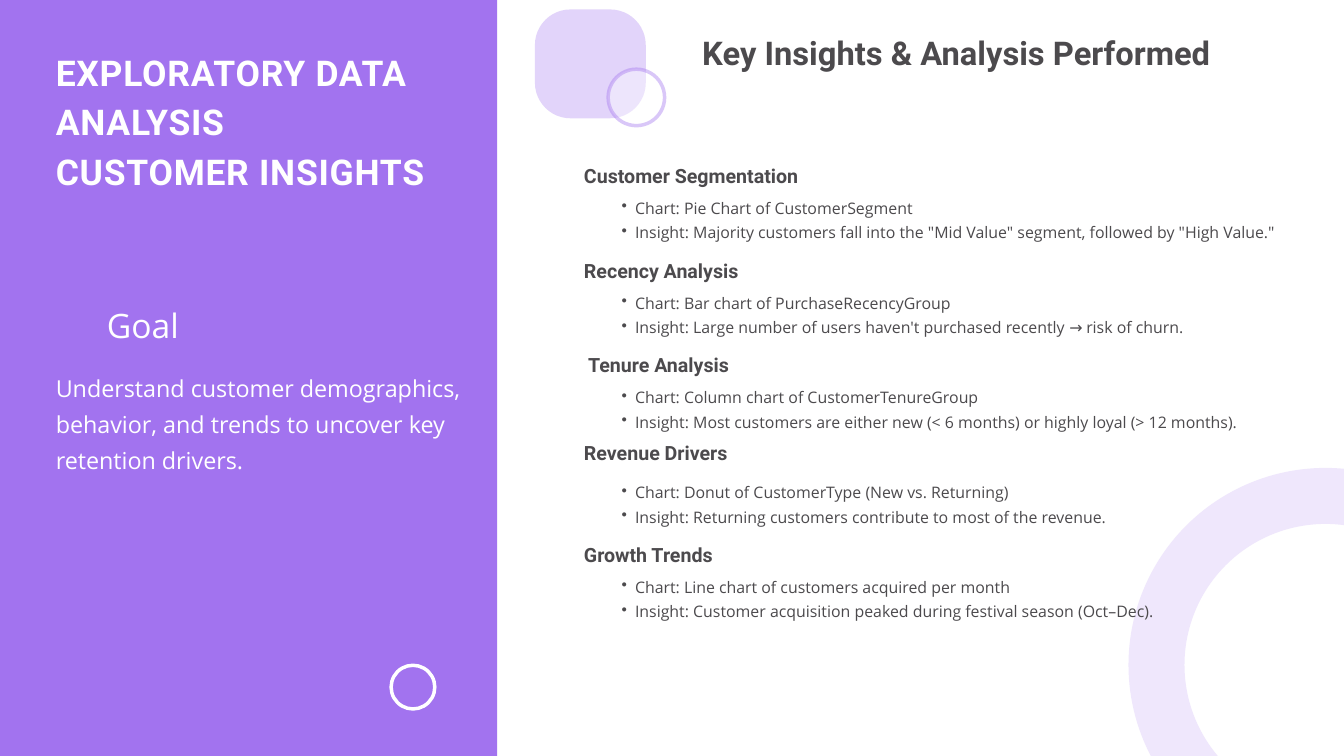
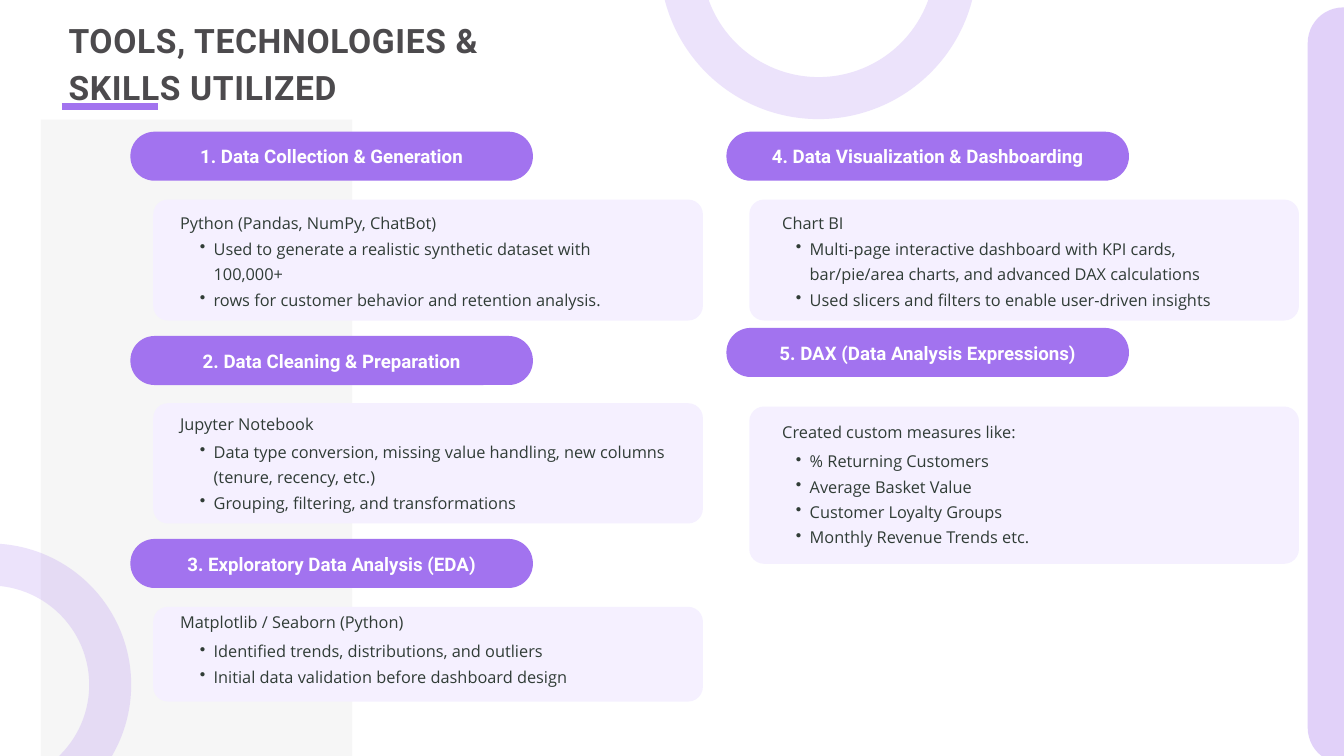
from lxml.etree import SubElement
from pptx import Presentation
from pptx.dml.color import RGBColor
from pptx.enum.shapes import MSO_CONNECTOR as LINK, MSO_SHAPE as SHAPE
from pptx.enum.text import MSO_ANCHOR as ANCHOR, PP_ALIGN as ALIGN
from pptx.oxml.ns import qn
from pptx.util import Pt

PX = 9144
PURPLE = RGBColor(0xA2, 0x73, 0xEF)
LILAC = RGBColor(0xF5, 0xF0, 0xFF)
WHITE = RGBColor(0xFF, 0xFF, 0xFF)
MIST = RGBColor(0xF6, 0xF6, 0xF6)
CHARCOAL = RGBColor(0x4C, 0x4A, 0x4D)
INK = RGBColor(0x30, 0x3C, 0x36)
HEADING, BODY = "Roboto", "Open Sans"


def draw(slide, box, kind=None, fill=None, line=None, weight=0, opacity=100, radius=0):
    box = [value * PX for value in box]
    if kind is None:
        return slide.shapes.add_textbox(*box)
    shape = slide.shapes.add_shape(kind, *box)
    shape.shadow.inherit = False
    if fill is None:
        shape.fill.background()
    else:
        shape.fill.solid()
        shape.fill.fore_color.rgb = fill
    if line is None:
        shape.line.fill.background()
    else:
        shape.line.color.rgb = line
        shape.line.width = Pt(weight)
    if radius:
        shape.adjustments[0] = radius * PX / min(box[2:])
    if opacity < 100:
        for color in list(shape._element.spPr.iter(qn("a:srgbClr"))):
            SubElement(color, qn("a:alpha"), val=str(opacity * 1000))
    return shape


def write(shape, lines, face, size, color, leading, indent=0, spacing=0):
    frame = shape.text_frame
    frame.word_wrap = True
    frame.margin_left = frame.margin_right = frame.margin_top = frame.margin_bottom = 0
    for number, line in enumerate(lines):
        paragraph = frame.add_paragraph() if number else frame.paragraphs[0]
        paragraph.text = line
        paragraph.line_spacing = Pt(leading)
        if indent:
            paragraph.level = 1
            properties = paragraph._p.get_or_add_pPr()
            properties.set("marL", str(indent * PX))
            properties.set("indent", str(-indent * PX // 2))
            SubElement(properties, qn("a:buChar"), char="•")
        font = paragraph.font
        font.name, font.size, font.bold = face, Pt(size), face == HEADING
        font.color.rgb = color
        if spacing:
            paragraph._p.pPr.find(qn("a:defRPr")).set("spc", str(spacing))


deck = Presentation()
deck.slide_width, deck.slide_height = 2000 * PX, 1125 * PX
blank = deck.slide_layouts[6]

insights = deck.slides.add_slide(blank)
draw(insights, (0, 0, 740, 1125), SHAPE.RECTANGLE, PURPLE)
draw(insights, (1721, 738, 503, 503), SHAPE.OVAL, WHITE, PURPLE, 60, 16)
draw(insights, (796, 14, 165, 162), SHAPE.ROUNDED_RECTANGLE, PURPLE, opacity=30, radius=53)
draw(insights, (905, 103, 84, 84), SHAPE.OVAL, WHITE, PURPLE, 3.75, 40)
draw(insights, (582, 990, 65, 65), SHAPE.OVAL, line=WHITE, weight=3.75)

write(draw(insights, (83, 65, 565, 289)), ["EXPLORATORY DATA ANALYSIS\vCUSTOMER INSIGHTS"],
      HEADING, 38, WHITE, 53.2, spacing=80)
write(draw(insights, (159, 436, 244, 72)), ["Goal"], BODY, 36, WHITE, 55.8)
write(draw(insights, (83, 544, 641, 157)),
      ["Understand customer demographics, behavior, and trends to uncover key retention drivers."],
      BODY, 25, WHITE, 38.7)
write(draw(insights, (1045, 39, 881, 64)), ["Key Insights & Analysis Performed"],
      HEADING, 35, CHARCOAL, 49)

analyses = [
    (869, 238, "Customer Segmentation", "Chart: Pie Chart of CustomerSegment",
     'Insight: Majority customers fall into the "Mid Value" segment, followed by "High Value."'),
    (869, 379, "Recency Analysis", "Chart: Bar chart of PurchaseRecencyGroup",
     "Insight: Large number of users haven't purchased recently → risk of churn."),
    (875, 520, "Tenure Analysis", "Chart: Column chart of CustomerTenureGroup",
     "Insight: Most customers are either new (< 6 months) or highly loyal (> 12 months)."),
    (869, 651, "Revenue Drivers", "Chart: Donut of CustomerType (New vs. Returning)",
     "Insight: Returning customers contribute to most of the revenue."),
    (869, 802, "Growth Trends", "Chart: Line chart of customers acquired per month",
     "Insight: Customer acquisition peaked during festival season (Oct–Dec)."),
]
for row, (left, top, topic, *findings) in enumerate(analyses):
    write(draw(insights, (left, top, 602, 40)), [topic], HEADING, 21, CHARCOAL, 29.4)
    write(draw(insights, (905, 287 + 141 * row, 1020, 71)), findings,
          BODY, 17, CHARCOAL, 26.4, indent=40)

tools = deck.slides.add_slide(blank)
draw(tools, (61, 178, 463, 1125), SHAPE.RECTANGLE, MIST)
draw(tools, (-194, 840, 358, 358), SHAPE.OVAL, line=PURPLE, weight=45, opacity=20)
write(draw(tools, (102, 20, 718, 137)), ["TOOLS, TECHNOLOGIES & SKILLS UTILIZED"],
      HEADING, 36, CHARCOAL, 50.4, spacing=70)

LEFT, RIGHT = (194, 268), (1081, 1164)
skills = [
    (LEFT, 196, 297, 180, 308, 347, 707, "1. Data Collection & Generation",
     "Python (Pandas, NumPy, ChatBot)",
     "Used to generate a realistic synthetic dataset with 100,000+",
     "rows for customer behavior and retention analysis."),
    (LEFT, 500, 600, 179, 607, 649, 723, "2. Data Cleaning & Preparation",
     "Jupyter Notebook",
     "Data type conversion, missing value handling, new columns (tenure, recency, etc.)",
     "Grouping, filtering, and transformations"),
    (LEFT, 802, 903, 141, 903, 946, 723, "3. Exploratory Data Analysis (EDA)",
     "Matplotlib / Seaborn (Python)",
     "Identified trends, distributions, and outliers",
     "Initial data validation before dashboard design"),
    (RIGHT, 196, 297, 180, 308, 347, 723, "4. Data Visualization & Dashboarding",
     "Chart BI",
     "Multi-page interactive dashboard with KPI cards, "
     "bar/pie/area charts, and advanced DAX calculations",
     "Used slicers and filters to enable user-driven insights"),
    (RIGHT, 488, 605, 234, 620, 663, 723, "5. DAX (Data Analysis Expressions)",
     "Created custom measures like:",
     "% Returning Customers", "Average Basket Value",
     "Customer Loyalty Groups", "Monthly Revenue Trends etc."),
]
for ((left, tool_left), pill_top, card_top, card_height, tool_top, uses_top, uses_width,
     skill, tool, *uses) in skills:
    pill = draw(tools, (left, pill_top, 599, 73), SHAPE.ROUNDED_RECTANGLE, PURPLE, radius=36)
    write(pill, [skill], HEADING, 20, WHITE, 28)
    pill.text_frame.margin_bottom = 5 * PX
    pill.text_frame.vertical_anchor = ANCHOR.MIDDLE
    pill.text_frame.paragraphs[0].alignment = ALIGN.CENTER
    draw(tools, (left + 34, card_top, 818, card_height), SHAPE.ROUNDED_RECTANGLE, LILAC, radius=22)
    write(draw(tools, (tool_left, tool_top, 451, 35)), [tool], BODY, 17.5, INK, 27.2)
    write(draw(tools, (left + 83, uses_top, uses_width, 37 * len(uses))), uses,
          BODY, 17.5, INK, 27.2, indent=41)

underline = tools.shapes.add_connector(LINK.STRAIGHT, 92 * PX, 159 * PX, 235 * PX, 159 * PX)
underline.line.color.rgb = PURPLE
underline.line.width = Pt(7.5)
SubElement(underline._element.spPr, qn("a:effectLst"))
draw(tools, (1946, 11, 335, 1125), SHAPE.ROUNDED_RECTANGLE, PURPLE, opacity=32, radius=53)
draw(tools, (1013, -264, 410, 410), SHAPE.OVAL, line=PURPLE, weight=45, opacity=20)

deck.save("out.pptx")
